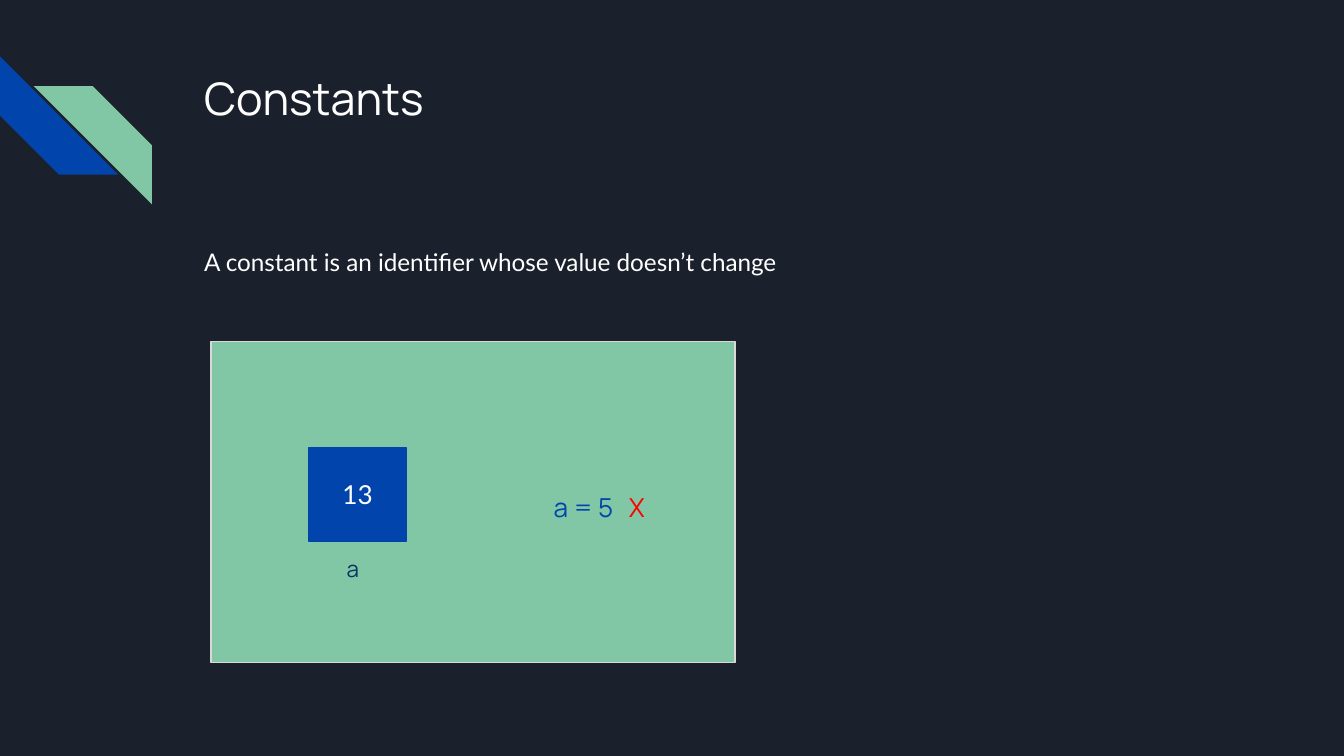
from lxml import etree
from pptx import Presentation
from pptx import util as u
from pptx.dml.color import RGBColor
from pptx.enum import shapes
from pptx.oxml.ns import qn

NAVY, BLUE, GREEN = "1B212C", "0145AC", "82C7A5"
WHITE, GREY, RED, INK = "FFFFFF", "D9D9D9", "FF0000", "073763"
HEADING_FONT, BODY_FONT = "Manrope", "Lato"
WIDTH = 10
HEIGHT = WIDTH * 9 / 16
LEFT, CONTENT_WIDTH = 1.42, 0.77 * WIDTH


def paint(fill, color):
    fill.solid()
    fill.fore_color.rgb = RGBColor.from_string(color)


def add_block(slide, kind, box, color, line=None, rotation=0):
    shape = slide.shapes.add_shape(kind, *map(u.Inches, box))
    shape.shadow.inherit = False
    shape.rotation = rotation
    paint(shape.fill, color)
    if line:
        paint(shape.line.fill, line)
        shape.line.width = u.Pt(0.75)
    else:
        shape.line.fill.background()


def add_text(slide, box, *parts, font=BODY_FONT, size=14, color=WHITE,
             spacing=None, after=None, tab=None):
    """Each part is a string, or a (string, colour) pair."""
    frame = slide.shapes.add_textbox(*map(u.Inches, box)).text_frame
    frame.word_wrap = True
    frame.margin_left = frame.margin_right = u.Inches(0.1)
    frame.margin_top = frame.margin_bottom = u.Inches(0.1)
    paragraph = frame.paragraphs[0]
    if spacing:
        paragraph.line_spacing = spacing
    if after:
        paragraph.space_after = u.Pt(after)
    if tab:
        tabs = etree.SubElement(paragraph._p.get_or_add_pPr(), qn("a:tabLst"))
        etree.SubElement(tabs, qn("a:tab"), pos=str(u.Inches(tab)), algn="l")
    for part in parts:
        words, tint = (part, color) if isinstance(part, str) else part
        run = paragraph.add_run()
        run.text = words
        run.font.name, run.font.size = font, u.Pt(size)
        paint(run.font.fill, tint)


def add_corner_stripes(slide):
    size = 0.88
    stripe = shapes.MSO_SHAPE.DIAGONAL_STRIPE
    add_block(slide, stripe, (0, 0.42, size, size), BLUE, rotation=270)
    add_block(slide, stripe, (0.25, 0.64, size, size), GREEN, rotation=90)


def add_memory_diagram(slide):
    rectangle = shapes.MSO_SHAPE.RECTANGLE
    add_block(slide, rectangle, (1.57, 2.54, 3.9, 2.39), GREEN, line=GREY)
    # Stored value and its name
    add_block(slide, rectangle, (2.3, 3.33, 0.72, 0.7), BLUE, line=BLUE)
    add_text(slide, (2.48, 4.03, 0.35, 0.4), "a",
             font=HEADING_FONT, size=12, color=INK)
    add_text(slide, (2.45, 3.46, 0.46, 0.44), "13")
    # Rejected assignment
    add_text(slide, (4.02, 3.56, 1.05, 0.44), "a = 5\t", ("X", RED),
             font=HEADING_FONT, color=BLUE, tab=0.56)


def main():
    presentation = Presentation()
    presentation.slide_width = u.Inches(WIDTH)
    presentation.slide_height = u.Inches(HEIGHT)
    slide = presentation.slides.add_slide(presentation.slide_layouts[6])
    paint(slide.background.fill, NAVY)

    add_corner_stripes(slide)
    # Title and definition
    add_text(slide, (LEFT, 0.43, CONTENT_WIDTH, 1), "Constants",
             font=HEADING_FONT, size=24)
    add_text(slide, (LEFT, 1.71, CONTENT_WIDTH, 3.18),
             "A constant is an identifier whose value doesn’t change",
             size=13, spacing=1.15, after=12)
    add_memory_diagram(slide)

    presentation.save("out.pptx")


if __name__ == "__main__":
    main()
